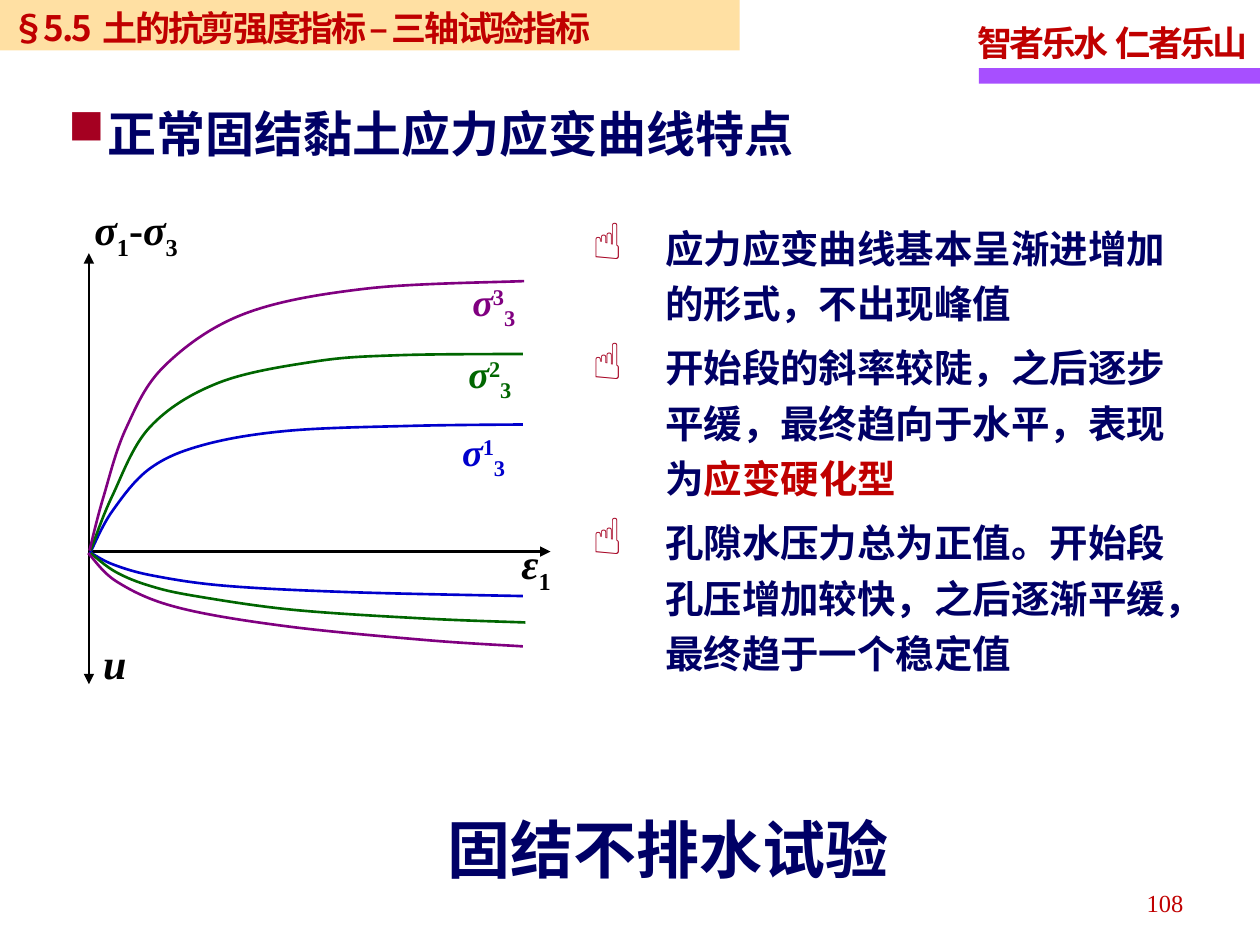
"""Build the slide on stress-strain curves of normally consolidated clay."""
from dataclasses import dataclass

from lxml import etree
from pptx import Presentation
from pptx.dml.color import RGBColor
from pptx.enum.shapes import MSO_CONNECTOR, MSO_SHAPE
from pptx.enum.text import MSO_ANCHOR, MSO_AUTO_SIZE, PP_ALIGN
from pptx.oxml.ns import qn
from pptx.util import Pt

RECT = MSO_SHAPE.RECTANGLE
STRAIGHT = MSO_CONNECTOR.STRAIGHT
TOP, MIDDLE = MSO_ANCHOR.TOP, MSO_ANCHOR.MIDDLE
LEFT, RIGHT = PP_ALIGN.LEFT, PP_ALIGN.RIGHT
NO_FIT = MSO_AUTO_SIZE.NONE

SERIF = "Times New Roman"
SANS = "Noto Sans CJK SC"
COLORS = {
    "navy": "000066", "red": "C00000", "crimson": "A50021", "black": "000000",
    "violet": "A74FFF", "sand": "FFCC66",
    "blue": "0000CC", "green": "006600", "purple": "800080",
}


@dataclass
class Run:
    text: str
    color: str | None = None
    italic: bool = False
    baseline: int = 0


@dataclass
class Bullet:
    char: str
    indent: float
    size: int = 100


@dataclass
class Curve:
    color: str
    knots: list[tuple[float, float]]


@dataclass
class StressLabel:
    left: float
    top: float
    color: str
    index: str


CURVES = [
    Curve("blue", [(51.8, 315.4), (64.1, 292.3), (85.7, 267.8), (116.6, 254.2),
                   (164.9, 246.2), (234.7, 243.4), (298.8, 242.6)]),
    Curve("blue", [(51.1, 315.4), (64.8, 322.6), (87.8, 329), (129.6, 334.8),
                   (200.9, 338.4), (298.8, 340.6)]),
    Curve("green", [(51.8, 314.6), (64.1, 283.7), (85.7, 244.1), (124.6, 218.9),
                    (180, 206.6), (228.2, 203), (298.8, 202.3)]),
    Curve("green", [(51.8, 316.1), (66.2, 326.9), (85.7, 334.8), (111.6, 340.6),
                    (167.8, 348.5), (243.4, 353.5), (300.2, 355.7)]),
    Curve("purple", [(51.1, 314.6), (59, 284.4), (72, 244.8), (94.3, 208.8),
                     (139.7, 179.3), (209.5, 164.9), (299.5, 160.6)]),
    Curve("purple", [(50.4, 316.1), (67, 332.6), (100.8, 347), (162.7, 357.8),
                     (243.4, 365.8), (298.8, 369.4)]),
]
STRESS_LABELS = [
    StressLabel(257, 241.2, "blue", "1"),
    StressLabel(260.6, 196.6, "green", "2"),
    StressLabel(262.8, 155.5, "purple", "3"),
]
AXIS_LABELS = [
    (46.8, 113, 67.7, [Run("σ", italic=True), Run("1", baseline=-25), Run("-"),
                       Run("σ", italic=True), Run("3", baseline=-25)]),
    (290.9, 303.8, 33.1, [Run("ε", italic=True), Run("1", baseline=-25)]),
    (51.8, 360.7, 28.1, [Run("u", italic=True)]),
]
FEATURES = [
    [Run("应力应变曲线基本呈渐进增加的形式，不出现峰值")],
    [Run("开始段的斜率较陡，之后逐步平缓，最终趋向于水平，表现为"),
     Run("应变硬化型", "red")],
    [Run("孔隙水压力总为正值。开始段孔压增加较快，之后逐渐平缓，最终趋于一个稳定值")],
]


def rgb(name: str) -> RGBColor:
    return RGBColor.from_string(COLORS[name])


def add_bullet(p, bullet: Bullet) -> None:
    pPr = p._p.get_or_add_pPr()
    pPr.set("marL", str(Pt(bullet.indent)))
    pPr.set("indent", str(-Pt(bullet.indent)))
    color = etree.SubElement(pPr, qn("a:buClr"))
    etree.SubElement(color, qn("a:srgbClr"), val=COLORS["crimson"])
    etree.SubElement(pPr, qn("a:buSzPct"), val=str(bullet.size * 1000))
    etree.SubElement(pPr, qn("a:buFont"), typeface="Wingdings", charset="2")
    etree.SubElement(pPr, qn("a:buChar"), char=bullet.char)


def write(s, paragraphs: str | list[list[Run]], *, size: float, color: str,
          font: str = SERIF, bold: bool = True, align=LEFT, anchor=TOP,
          inset: bool = True, wrap: bool = True, spacing: float = 0,
          leading: float = 1.0, gap: float = 0, bullet: Bullet | None = None) -> None:
    if isinstance(paragraphs, str):
        paragraphs = [[Run(paragraphs)]]
    tf = s.text_frame
    tf.word_wrap, tf.auto_size, tf.vertical_anchor = wrap, NO_FIT, anchor
    tf.margin_left = tf.margin_right = Pt(7.2 if inset else 0)
    tf.margin_top = tf.margin_bottom = Pt(3.6 if inset else 0)
    for i, runs in enumerate(paragraphs):
        p = tf.add_paragraph() if i else tf.paragraphs[0]
        if bullet:
            add_bullet(p, bullet)
        p.alignment, p.line_spacing = align, leading
        p.space_before, p.space_after = Pt(gap if i else 0), Pt(0)
        for run in runs:
            r = p.add_run()
            r.text = run.text
            r.font.size, r.font.name = Pt(size), font
            r.font.bold, r.font.italic = bold, run.italic
            r.font.color.rgb = rgb(run.color or color)
            rPr = r._r.get_or_add_rPr()
            if run.baseline:
                rPr.set("baseline", str(run.baseline * 1000))
            if spacing:
                rPr.set("spc", str(round(spacing * 100)))
            etree.SubElement(rPr, qn("a:ea"), typeface=SANS)


def add_text(slide, left: float, top: float, width: float, height: float,
             paragraphs: str | list[list[Run]], **style) -> None:
    s = slide.shapes.add_textbox(Pt(left), Pt(top), Pt(width), Pt(height))
    write(s, paragraphs, **style)


def add_bar(slide, left: float, top: float, width: float, height: float, color: str):
    s = slide.shapes.add_shape(RECT, Pt(left), Pt(top), Pt(width), Pt(height))
    s.shadow.inherit = False
    s.fill.solid()
    s.fill.fore_color.rgb = rgb(color)
    s.line.fill.background()
    return s


def add_axis(slide, x1: float, y1: float, x2: float, y2: float, *ends: str) -> None:
    s = slide.shapes.add_connector(STRAIGHT, Pt(x1), Pt(y1), Pt(x2), Pt(y2))
    s.line.color.rgb, s.line.width = rgb("black"), Pt(1.5)
    for end in ends:
        etree.SubElement(s.line._get_or_add_ln(), qn(f"a:{end}"), type="triangle")
    etree.SubElement(s._element.spPr, qn("a:effectLst"))


def add_curve(slide, curve: Curve) -> None:
    k = curve.knots
    padded = [k[0], *k, k[-1]]
    points = []
    for a, b, c, d in zip(padded, padded[1:], padded[2:], padded[3:]):
        points.append(tuple(q + (r - p) / 6 for p, q, r in zip(a, b, c)))
        points.append(tuple(r - (t - q) / 6 for q, r, t in zip(b, c, d)))
        points.append(c)
    builder = slide.shapes.build_freeform(Pt(k[0][0]), Pt(k[0][1]))
    builder.add_line_segments([(Pt(x), Pt(y)) for x, y in points], close=False)
    s = builder.convert_to_shape()
    s.shadow.inherit = False
    s.fill.background()
    s.line.color.rgb, s.line.width = rgb(curve.color), Pt(1.5)
    outline = next(s._element.iter(qn("a:path")))
    segments = outline.findall(qn("a:lnTo"))
    for i in range(0, len(segments), 3):
        bezier = etree.SubElement(outline, qn("a:cubicBezTo"))
        for segment in segments[i:i + 3]:
            bezier.append(segment[0])
            outline.remove(segment)


def main() -> None:
    prs = Presentation()
    prs.slide_width, prs.slide_height = Pt(720), Pt(540)
    slide = prs.slides.add_slide(prs.slide_layouts[5])

    title = slide.shapes.title
    title.left, title.top, title.width, title.height = Pt(38.9), Pt(59), Pt(532.8), Pt(33.8)
    write(title, "正常固结黏土应力应变曲线特点", size=28, color="navy", font=SANS,
          anchor=MIDDLE, inset=False, bullet=Bullet("n", 22.8))

    add_bar(slide, 559.4, 38.9, 160.6, 9, "violet")
    add_text(slide, 551.5, 5, 170, 35.3, "智者乐水  仁者乐山", size=20, color="red",
             wrap=False, spacing=-1.7, leading=1.15)
    header = add_bar(slide, -0.7, 0, 423.4, 28.8, "sand")
    etree.SubElement(next(header._element.spPr.iter(qn("a:srgbClr"))),
                     qn("a:alpha"), val="60000")
    write(header, "§5.5  土的抗剪强度指标 – 三轴试验指标", size=20, color="red",
          font=SANS, spacing=-1.4)

    add_axis(slide, 50.8, 144.7, 50.8, 391, "headEnd", "tailEnd")
    add_axis(slide, 50.8, 315.2, 314.6, 315.2, "tailEnd")
    for curve in CURVES:
        add_curve(slide, curve)
    for left, top, width, runs in AXIS_LABELS:
        add_text(slide, left, top, width, 36.7, [runs], size=24, color="black", wrap=False)
    for label in STRESS_LABELS:
        runs = [Run("σ", italic=True), Run(label.index, baseline=30), Run("3", baseline=-25)]
        add_text(slide, label.left, label.top, 43.2, 33.8, [runs], size=22,
                 color=label.color, wrap=False)

    add_text(slide, 338.4, 123.1, 342.7, 266.4, FEATURES, size=22, color="navy",
             inset=False, leading=1.2, gap=5, bullet=Bullet("F", 41.8, 130))
    add_text(slide, 255.6, 463, 326.2, 43.2, "固结不排水试验", size=36, color="navy",
             font=SANS, anchor=MIDDLE, inset=False)
    add_text(slide, 515.5, 501.2, 167.8, 28.8, "108", size=14, color="red",
             bold=False, align=RIGHT, anchor=MIDDLE)
    prs.save("out.pptx")


if __name__ == "__main__":
    main()
